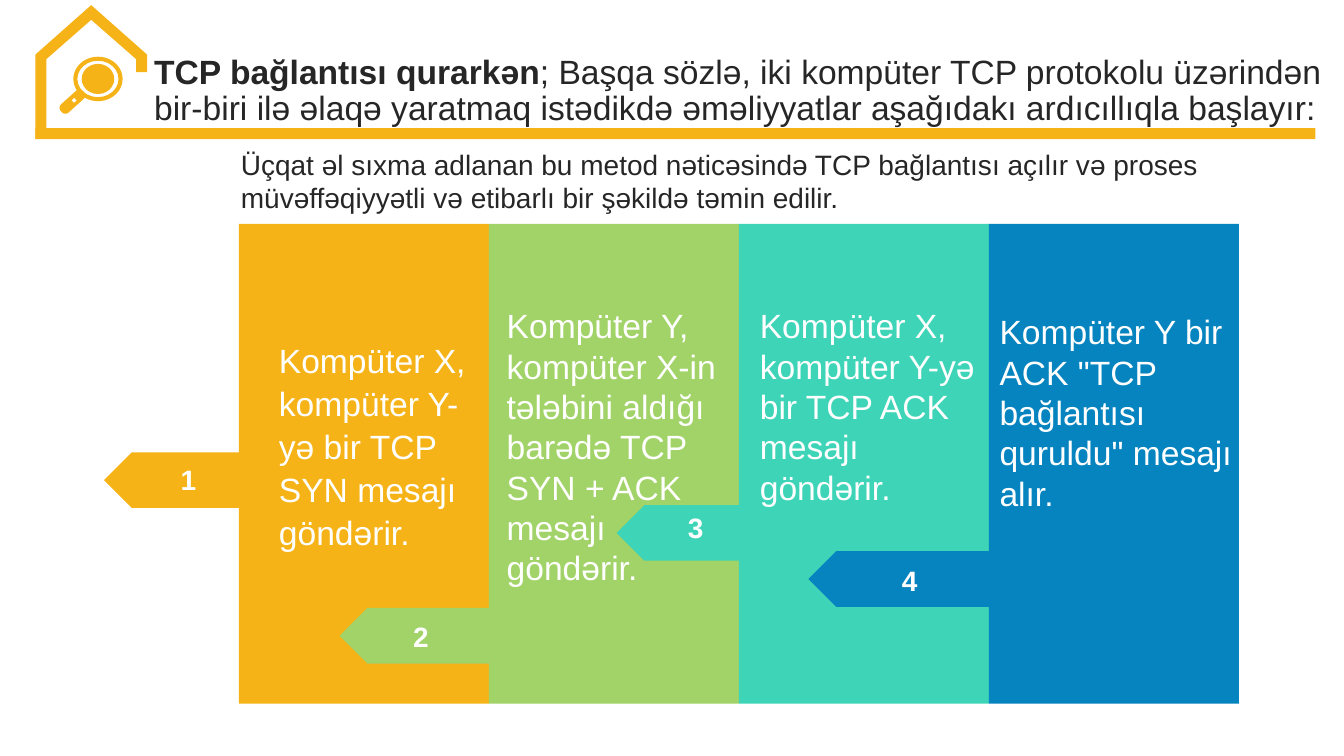
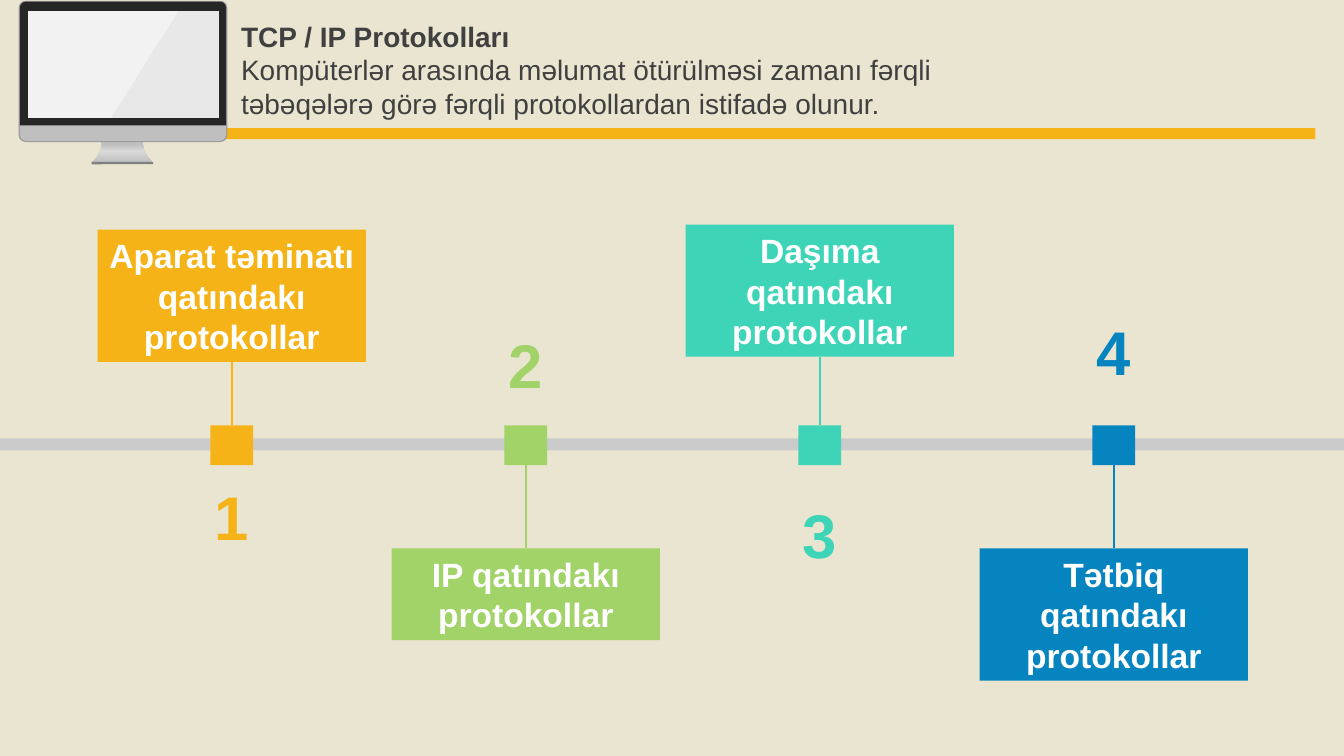
from copy import deepcopy

from lxml import etree
from pptx import Presentation
from pptx.dml.color import RGBColor
from pptx.enum.shapes import MSO_CONNECTOR, MSO_SHAPE
from pptx.enum.text import MSO_ANCHOR, PP_ALIGN
from pptx.oxml.ns import qn
from pptx.util import Cm, Pt

RECT = MSO_SHAPE.RECTANGLE
ROUNDED = MSO_SHAPE.ROUNDED_RECTANGLE
ROUND_TOP = MSO_SHAPE.ROUND_2_SAME_RECTANGLE
OVAL = MSO_SHAPE.OVAL
DONUT = MSO_SHAPE.DONUT
DIAMOND = MSO_SHAPE.DIAMOND
PENTAGON = MSO_SHAPE.PENTAGON
STRAIGHT = MSO_CONNECTOR.STRAIGHT
TOP, MIDDLE = MSO_ANCHOR.TOP, MSO_ANCHOR.MIDDLE
LEFT, CENTER = PP_ALIGN.LEFT, PP_ALIGN.CENTER

ORANGE = RGBColor(0xF5, 0xB3, 0x17)
GREEN = RGBColor(0xA2, 0xD3, 0x68)
TEAL = RGBColor(0x3E, 0xD4, 0xB7)
BLUE = RGBColor(0x06, 0x84, 0xBF)
WHITE = RGBColor(0xFF, 0xFF, 0xFF)
SAND = RGBColor(0xE9, 0xE5, 0xD0)
INK = RGBColor(0x26, 0x26, 0x26)
DARK_GRAY = RGBColor(0x40, 0x40, 0x40)
FOOT_GRAY = RGBColor(0x80, 0x80, 0x80)
EDGE_GRAY = RGBColor(0x99, 0x99, 0x99)
METAL = RGBColor(0xBF, 0xBF, 0xBF)
RAIL_GRAY = RGBColor(0xCB, 0xCB, 0xCB)
LIGHT_METAL = RGBColor(0xD9, 0xD9, 0xD9)
SCREEN = RGBColor(0xF2, 0xF2, 0xF2)
STEP_COLORS = (ORANGE, GREEN, TEAL, BLUE)


def write(tf, paragraphs, size=24, color=WHITE, bold=False, align=LEFT,
          anchor=TOP, spacing=None):
    if isinstance(paragraphs, str):
        paragraphs = [[(paragraphs, bold)]]
    tf.word_wrap = True
    tf.vertical_anchor = anchor
    for i, runs in enumerate(paragraphs):
        p = tf.add_paragraph() if i else tf.paragraphs[0]
        p.alignment = align
        p.line_spacing = spacing
        for text, is_bold in runs:
            r = p.add_run()
            r.text = text
            r.font.name = "Arial"
            r.font.size = Pt(size)
            r.font.bold = is_bold
            r.font.color.rgb = color


class Deck:
    def __init__(self):
        self.prs = Presentation()
        self.prs.slide_width = Cm(33.87)
        self.prs.slide_height = Cm(19.05)
        self.slide = None

    def new_slide(self, background):
        self.slide = self.prs.slides.add_slide(self.prs.slide_layouts[5])
        fill = self.slide.background.fill
        fill.solid()
        fill.fore_color.rgb = background
        self.shape(RECT, 0.89, 3.23, 32.26, 0.28, ORANGE)

    def title(self, x, y, w, h, paragraphs, **fmt):
        sp = self.slide.shapes.title
        sp.left, sp.top, sp.width, sp.height = Cm(x), Cm(y), Cm(w), Cm(h)
        write(sp.text_frame, paragraphs, **fmt)

    def text(self, x, y, w, h, paragraphs, **fmt):
        sp = self.slide.shapes.add_textbox(Cm(x), Cm(y), Cm(w), Cm(h))
        write(sp.text_frame, paragraphs, **fmt)

    def paint(self, sp, color):
        sp.shadow.inherit = False
        sp.fill.solid()
        sp.fill.fore_color.rgb = color
        sp.line.fill.background()
        return sp

    def shape(self, kind, x, y, w, h, color, rotation=0, adjust=None):
        sp = self.slide.shapes.add_shape(kind, Cm(x), Cm(y), Cm(w), Cm(h))
        sp.rotation = rotation
        if adjust is not None:
            sp.adjustments[0] = adjust
        return self.paint(sp, color)

    def outline(self, points, color):
        (x, y), *rest = [(Cm(px), Cm(py)) for px, py in points]
        builder = self.slide.shapes.build_freeform(x, y)
        builder.add_line_segments(rest, close=True)
        return self.paint(builder.convert_to_shape(), color)

    def link(self, upper, lower, color):
        line = self.slide.shapes.add_connector(STRAIGHT, 0, 0, 0, 0)
        line.begin_connect(upper, 2)
        line.end_connect(lower, 0)
        line.line.color.rgb = color
        line.line.width = Pt(1.5)
        etree.SubElement(line._element.spPr, qn("a:effectLst"))

    def house(self):
        self.outline([(0.89, 3.5), (0.89, 1.38), (2.3, 0.13), (3.71, 1.38),
                      (3.71, 1.82), (3.43, 1.82), (3.43, 1.49), (2.3, 0.5),
                      (1.17, 1.49), (1.17, 3.5)], ORANGE)

    def magnifier(self):
        self.shape(ROUNDED, 1.45, 2.42, 0.75, 0.28, ORANGE, -42, 0.4)
        self.shape(DIAMOND, 1.81, 2.47, 0.12, 0.12, WHITE)
        self.shape(DONUT, 1.85, 1.43, 1.24, 1.12, ORANGE, adjust=0.09)
        self.shape(OVAL, 2.06, 1.61, 0.82, 0.76, ORANGE)

    def monitor(self):
        stand = self.outline([(2.57, 3.56), (3.58, 3.56), (3.63, 3.78),
                              (3.71, 3.94), (3.86, 4.1), (2.31, 4.1),
                              (2.46, 3.94), (2.54, 3.78)], METAL)
        self.metal_gradient(stand)
        self.shape(ROUNDED, 0.47, 0.02, 5.26, 3.56, EDGE_GRAY, adjust=0.05)
        self.shape(ROUNDED, 0.5, 0.04, 5.2, 3.52, METAL, adjust=0.05)
        self.shape(ROUND_TOP, 0.5, 0.04, 5.2, 3.12, INK, adjust=0.05)
        self.shape(ROUNDED, 2.31, 4.08, 1.55, 0.06, FOOT_GRAY)
        self.shape(RECT, 0.71, 0.28, 4.81, 2.69, SCREEN)
        glare = self.outline([(4.5, 0.28), (5.52, 0.28), (5.52, 2.97),
                              (2.8, 2.97)], EDGE_GRAY)
        tint = glare._element.spPr.find(".//" + qn("a:srgbClr"))
        etree.SubElement(tint, qn("a:alpha"), val="10000")

    def metal_gradient(self, sp):
        sp.fill.gradient()
        sp.fill.gradient_angle = 90
        for stop in sp.fill.gradient_stops:
            stop.color.rgb = METAL
        stops = sp._element.spPr.find(".//" + qn("a:gsLst"))
        for index, position, color in ((1, 53, LIGHT_METAL), (2, 83, METAL)):
            gs = deepcopy(stops[0])
            gs.set("pos", str(position * 1000))
            gs.find(qn("a:srgbClr")).set("val", str(color))
            stops.insert(index, gs)
        stops[0].set("pos", "0")
        stops[-1].set("pos", "100000")


def handshake_slide(deck):
    deck.new_slide(WHITE)
    deck.house()
    deck.magnifier()
    deck.title(3.63, 1.27, 30.24, 1.95, [[
        ("TCP bağlantısı qurarkən", True),
        ("; Başqa sözlə, iki kompüter TCP protokolu üzərindən bir-biri ilə "
         "əlaqə yaratmaq istədikdə əməliyyatlar aşağıdakı ardıcıllıqla "
         "başlayır:", False)]], color=INK, spacing=0.9)
    deck.text(5.82, 3.58, 24.92, 1.96,
              "Üçqat əl sıxma adlanan bu metod nəticəsində TCP bağlantısı "
              "açılır və proses müvəffəqiyyətli və etibarlı bir şəkildə "
              "təmin edilir.", size=20, color=INK)

    left, width = 6.02, 6.3
    tags = ((2.62, 11.4), (8.56, 15.32), (15.54, 12.73), (20.37, 13.89))
    for i, (color, (x, y)) in enumerate(zip(STEP_COLORS, tags)):
        panel_left = left + i * width
        deck.shape(RECT, panel_left, 5.64, width, 12.09, color)
        deck.shape(PENTAGON, x, y, panel_left - x, 1.4, color, 180)

    labels = ((3.48, 11.53, 2.54), (8.94, 15.49, 3.33),
              (16.03, 12.75, 3), (20.93, 14.07, 3.99))
    for number, (x, y, w) in enumerate(labels, 1):
        deck.text(x, y, w, 1.12, str(number), size=20, bold=True, align=CENTER)

    steps = (
        (6.78, 8.36, 5.38, 5.74, 1.07,
         "Kompüter X, kompüter Y-yə bir TCP SYN mesajı göndərir."),
        (12.52, 7.57, 6.35, 7.44, None,
         "Kompüter Y, kompüter X-in tələbini aldığı barədə TCP SYN + ACK "
         "mesajı göndərir."),
        (18.9, 7.57, 6.5, 5.38, None,
         "Kompüter X, kompüter Y-yə bir TCP ACK mesajı göndərir."),
        (24.94, 7.72, 6.96, 5.38, None,
         "Kompüter Y bir ACK \"TCP bağlantısı quruldu\" mesajı alır."),
    )
    for x, y, w, h, spacing, text in steps:
        deck.text(x, y, w, h, text, spacing=spacing)


def protocols_slide(deck):
    deck.new_slide(SAND)
    deck.monitor()
    deck.title(5.82, 0.36, 21.36, 2.82, [
        [("TCP / IP Protokolları", True)],
        [("Kompüterlər arasında məlumat ötürülməsi zamanı fərqli təbəqələrə "
          "görə fərqli protokollardan istifadə olunur.", False)]],
        size=20, color=DARK_GRAY)

    deck.shape(RECT, 0, 11.05, 33.87, 0.3, RAIL_GRAY)
    layers = (
        ("Aparat təminatı qatındakı protokollar", 5.79, 3.33, 12.12),
        ("IP qatındakı protokollar", 13.82, 2.31, 8.28),
        ("Daşıma qatındakı protokollar", 5.66, 3.33, 12.57),
        ("Tətbiq qatındakı protokollar", 13.82, 3.33, 7.95),
    )
    first_center, step, node_top = 5.84, 7.41, 10.72
    for i, (text, card_top, card_height, number_top) in enumerate(layers):
        color = STEP_COLORS[i]
        center = first_center + i * step
        node = deck.shape(RECT, center - 0.54, node_top, 1.08, 1, color)
        card = deck.shape(RECT, center - 3.38, card_top, 6.76, card_height,
                          color)
        write(card.text_frame, text, bold=True, align=CENTER, anchor=MIDDLE)
        upper, lower = (card, node) if card_top < node_top else (node, card)
        deck.link(upper, lower, color)
        deck.text(center - 2.77, number_top, 5.54, 1.78, str(i + 1), size=44,
                  color=color, bold=True, align=CENTER, anchor=MIDDLE)


def main():
    deck = Deck()
    handshake_slide(deck)
    protocols_slide(deck)
    deck.prs.save("out.pptx")


if __name__ == "__main__":
    main()
